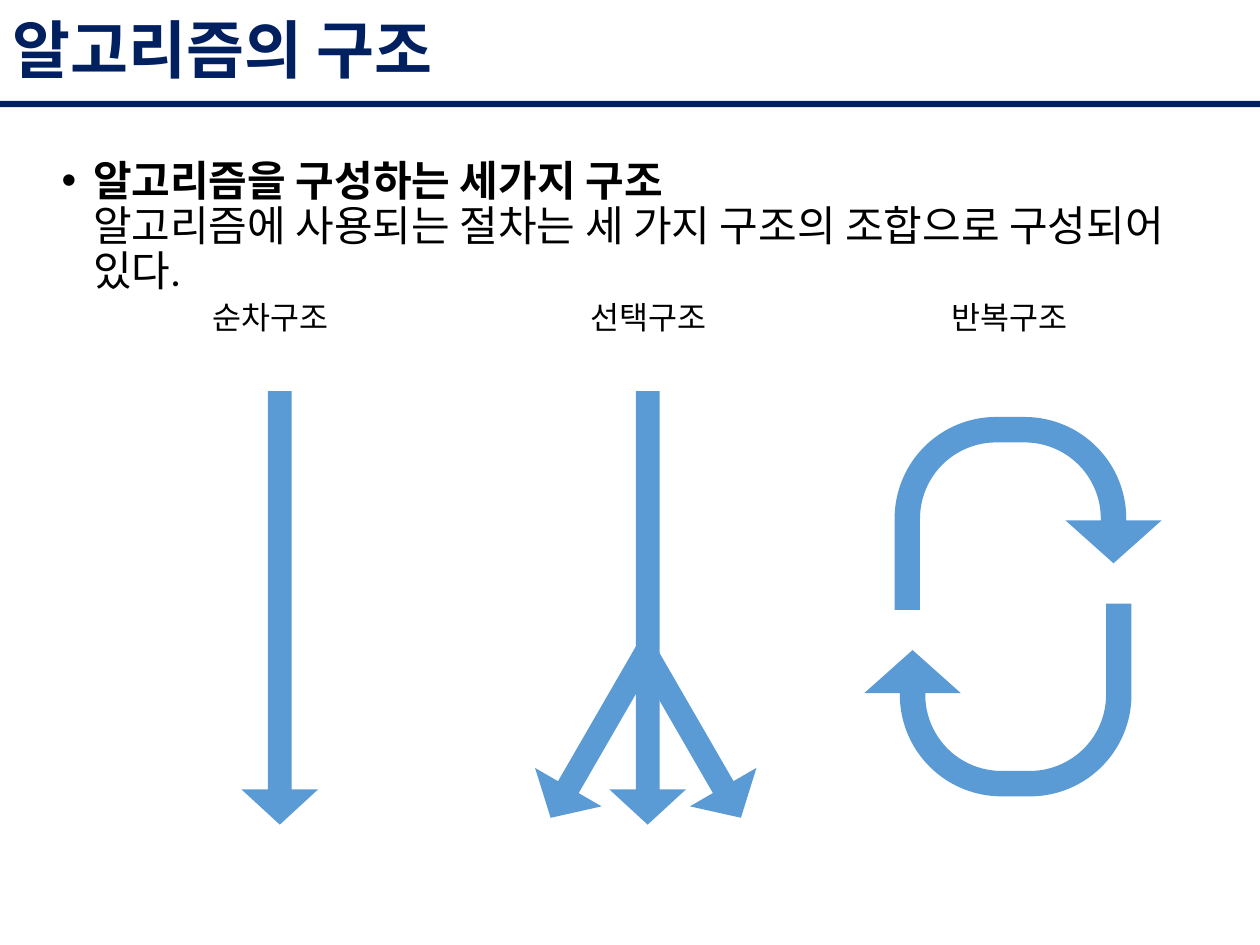
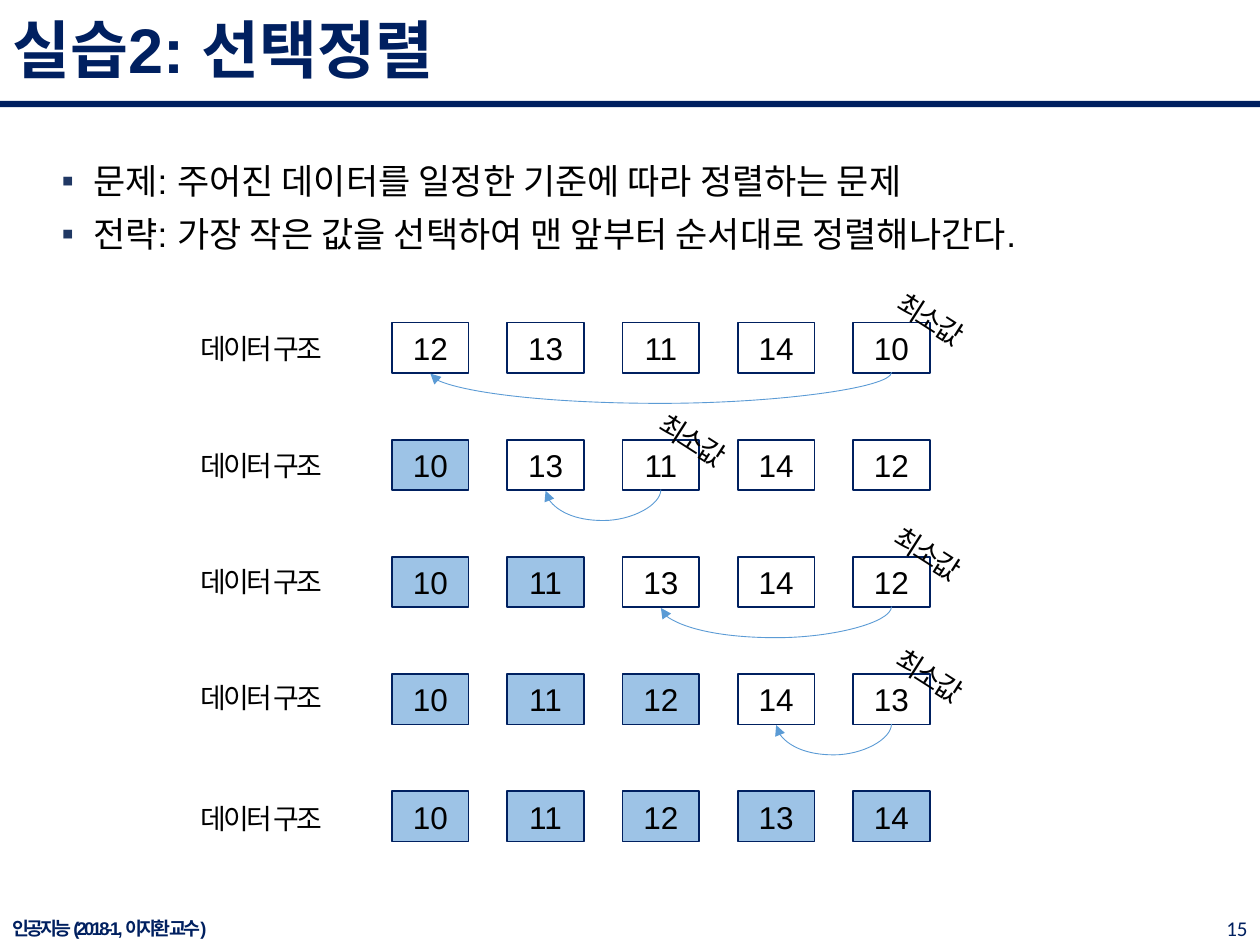
from dataclasses import dataclass

from lxml.etree import SubElement
from pptx import Presentation
from pptx.dml.color import RGBColor
from pptx.enum.shapes import MSO_CONNECTOR as Link, MSO_SHAPE as Kind
from pptx.enum.text import MSO_ANCHOR as Anchor, PP_ALIGN as Align
from pptx.oxml.ns import qn
from pptx.util import Inches, Pt


@dataclass(frozen=True)
class Theme:
    navy: str = "002060"
    blue: str = "5B9BD5"
    sorted_fill: str = "9DC3E6"
    bullet: str = "203864"
    black: str = "000000"
    head_font: str = "Arial"
    body_font: str = "Calibri"
    title: float = 36
    lead: float = 24
    body: float = 20
    label: float = 18
    note: float = 16
    number: float = 12
    footer: float = 10.5
    tight: float = -1.5


theme = Theme()
deck = Presentation()
deck.slide_width, deck.slide_height = Inches(10), Inches(7.5)

# The grid: 100 columns by 75 rows
COL = deck.slide_width / 100
ROW = deck.slide_height / 75


def add_box(page, left, top, width, height, kind=None, fill=None, line=None,
            turn=0, adjust=()):
    """Add a text box, or a preset shape when a kind is given."""
    place = [round(n) for n in (left * COL, top * ROW, width * COL, height * ROW)]
    if kind is None:
        box = page.shapes.add_textbox(*place)
    else:
        box = page.shapes.add_shape(kind, *place)
        box.shadow.inherit = False
        if fill:
            box.fill.solid()
            box.fill.fore_color.rgb = RGBColor.from_string(fill)
        else:
            box.fill.background()
        if line:
            box.line.color.rgb = RGBColor.from_string(line)
            box.line.width = Pt(1)
        else:
            box.line.fill.background()
        for index, value in enumerate(adjust):
            box.adjustments[index] = value
    box.rotation = turn
    return box


def write(box, text, size, font=theme.body_font, color=theme.black, bold=False,
          align=Align.LEFT, anchor=Anchor.TOP, spacing=None, after=None,
          bullet=None, bullet_color=theme.black, tracking=None):
    """Write one paragraph per line of text and return the last one."""
    frame = box.text_frame
    frame.word_wrap = True
    frame.vertical_anchor = anchor
    for index, line in enumerate(text.split("\n")):
        para = frame.add_paragraph() if index else frame.paragraphs[0]
        para.alignment = align
        if spacing:
            para.line_spacing = spacing
        if after:
            para.space_after = Pt(after)
        if bullet:
            props = para._p.get_or_add_pPr()
            props.set("marL", str(Inches(0.25)))
            props.set("indent", str(-Inches(0.25)))
            tint = SubElement(props, qn("a:buClr"))
            SubElement(tint, qn("a:srgbClr")).set("val", bullet_color)
            SubElement(props, qn("a:buFont")).set("typeface", "Arial")
            SubElement(props, qn("a:buChar")).set("char", bullet)
        span = para.add_run()
        span.text = line
        span.font.name, span.font.size, span.font.bold = font, Pt(size), bold
        span.font.color.rgb = RGBColor.from_string(color)
        if tracking:
            span.font._element.set("spc", str(round(tracking * 100)))
    return para


# Shared title and band
pages = []
for title in ("알고리즘의 구조", "실습2: 선택정렬"):
    page = deck.slides.add_slide(deck.slide_layouts[6])
    add_box(page, 0, 8, 100, 0.5, Kind.RECTANGLE, theme.navy)
    write(add_box(page, 0, 0, 100, 8.5), title, theme.title, theme.head_font,
          theme.navy, bold=True, anchor=Anchor.MIDDLE, spacing=0.9)
    pages.append(page)
structures, sorting = pages

# Slide 1: introduction
lead = write(add_box(structures, 3.9, 12.2, 92.6, 23.5),
             "알고리즘을 구성하는 세가지 구조", theme.lead, bold=True,
             spacing=0.9, bullet="•")
lead.add_line_break()
span = lead.add_run()
span.text = "알고리즘에 사용되는 절차는 세 가지 구조의 조합으로 구성되어 있다."
span.font.name, span.font.size = theme.body_font, Pt(theme.lead)
span.font.color.rgb = RGBColor.from_string(theme.black)

# Slide 1: names of the three structures
for left, name in ((9, "순차구조"), (39, "선택구조"), (67.7, "반복구조")):
    write(add_box(structures, left, 23.2, 24.9, 4), name, theme.label,
          align=Align.CENTER)

# Slide 1: sequence arrow, then the three branches of selection
for left, top, width, turn in ((5, 45.2, 34.4, 90), (34.2, 45.2, 34.4, 90),
                               (39.8, 55.1, 15.6, 120), (47.1, 55.1, 15.6, 60)):
    add_box(structures, left, top, width, 6.1, Kind.RIGHT_ARROW, theme.blue,
            turn=turn, adjust=(0.31, 0.46))

# Slide 1: two half turns make the repetition loop
for left, top, turn in ((71, 33.1, 0), (68.6, 47.9, 180)):
    add_box(structures, left, top, 21.2, 15.3, Kind.U_TURN_ARROW, theme.blue,
            turn=turn, adjust=(0.132, 0.25, 0.223, 0.527, 0.759))

# Slide 2: problem and strategy
write(add_box(sorting, 3.9, 12.2, 92.6, 55.4),
      "문제: 주어진 데이터를 일정한 기준에 따라 정렬하는 문제\n"
      "전략: 가장 작은 값을 선택하여 맨 앞부터 순서대로 정렬해나간다.",
      theme.body, theme.head_font, after=6, bullet="▪",
      bullet_color=theme.bullet)

# Slide 2: sorting steps as values, label top, column and place of the minimum
CELL_LEFT, CELL_TOP, CELL_W, CELL_H = 31.1, 25.6, 6.1, 4
CELL_STEP, STEP_DOWN = 9.15, 9.3
ARC_H, ARC_DEPTH = 0.1, 2.5
steps = (
    ((12, 13, 11, 14, 10), 25.8, 4, (66.8, 23.5)),
    ((10, 13, 11, 14, 12), 35.1, 2, (47.9, 33.1)),
    ((10, 11, 13, 14, 12), 44.3, 4, (66.6, 42.1)),
    ((10, 11, 12, 14, 13), 53.5, 4, (66.7, 51.8)),
    ((10, 11, 12, 13, 14), 63.1, None, None),
)
for done, (values, label_top, smallest, note_place) in enumerate(steps):
    top = CELL_TOP + done * STEP_DOWN
    sorted_count = len(values) if smallest is None else done
    write(add_box(sorting, 13.7, label_top, 14.1, 3.7), "데이터 구조",
          theme.note, align=Align.CENTER, tracking=theme.tight)
    for index, value in enumerate(values):
        cell = add_box(sorting, CELL_LEFT + index * CELL_STEP, top, CELL_W, CELL_H,
                       Kind.RECTANGLE, line=theme.navy,
                       fill=theme.sorted_fill if index < sorted_count else None)
        write(cell, str(value), theme.label, theme.head_font,
              align=Align.CENTER, anchor=Anchor.MIDDLE)
    if smallest is None:
        continue

    write(add_box(sorting, *note_place, 14.1, 3.7, turn=32.7), "최소값",
          theme.note, align=Align.CENTER, tracking=theme.tight)

    # Swap arc, laid out upright and turned a quarter
    reach = (smallest - done) * CELL_STEP
    middle = CELL_LEFT + CELL_W / 2 + (smallest + done) / 2 * CELL_STEP
    base = top + CELL_H
    arc = sorting.shapes.add_connector(
        Link.CURVE,
        round((middle - ARC_H / 2) * COL), round((base - reach / 2) * ROW),
        round((middle + ARC_H / 2) * COL), round((base + reach / 2) * ROW))
    arc.rotation = 90
    arc.line.color.rgb = RGBColor.from_string(theme.blue)
    arc.line.width = Pt(0.5)
    props = arc._element.spPr
    guide = SubElement(props.find(qn("a:prstGeom")).find(qn("a:avLst")), qn("a:gd"))
    guide.set("name", "adj1")
    guide.set("fmla", f"val {round(ARC_DEPTH / ARC_H * 100000)}")
    SubElement(props.find(qn("a:ln")), qn("a:tailEnd")).set("type", "triangle")
    SubElement(props, qn("a:effectLst"))

# Slide 2: footer and page number
write(add_box(sorting, 0, 72.4, 33.8, 2.6), "인공지능 (2018-1, 이지환 교수)",
      theme.footer, theme.head_font, theme.navy, bold=True,
      align=Align.JUSTIFY, anchor=Anchor.MIDDLE, tracking=theme.tight)
write(add_box(sorting, 77.5, 72.4, 22.5, 2.6), "15", theme.number,
      color=theme.navy, align=Align.RIGHT, anchor=Anchor.MIDDLE)

deck.save("out.pptx")
